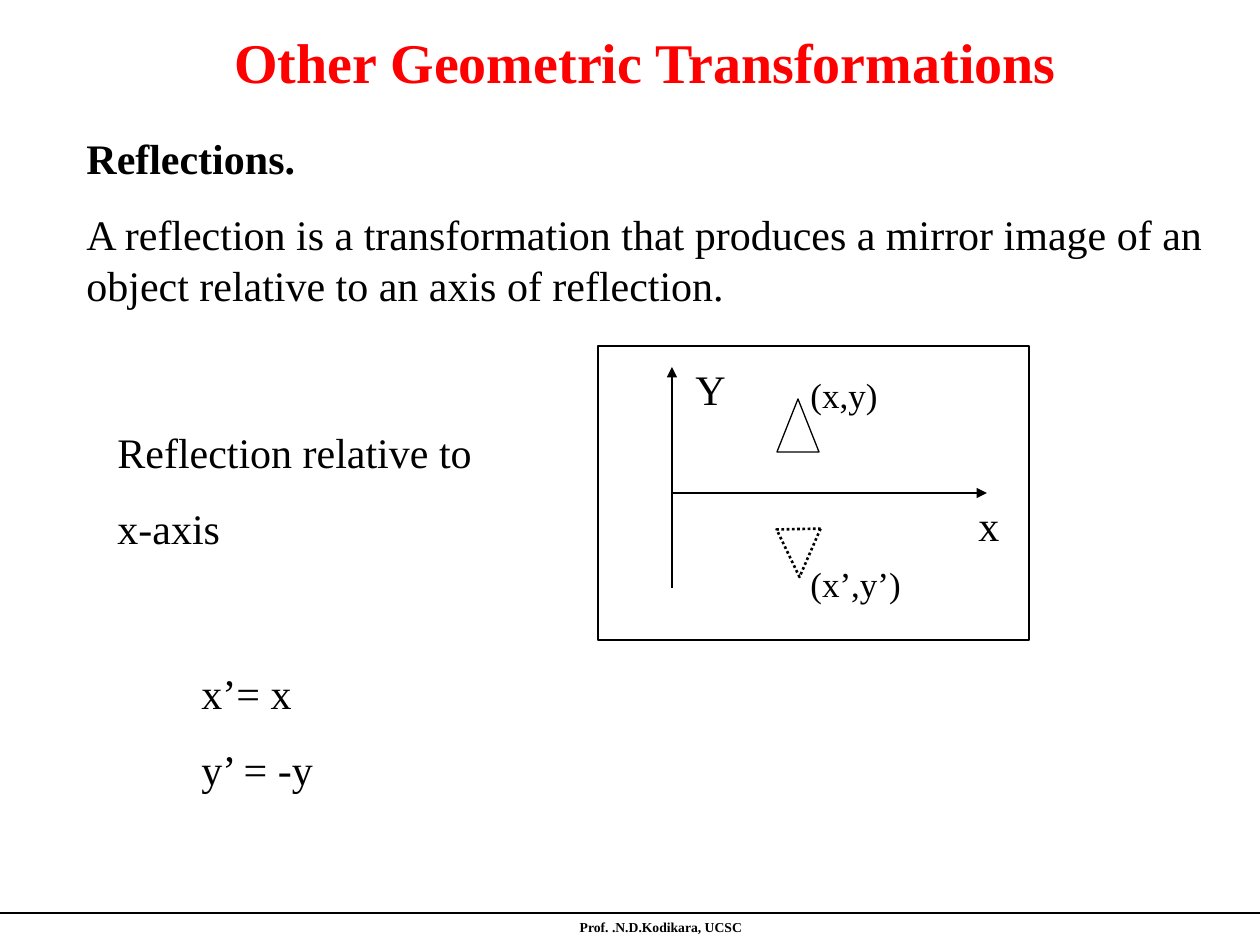
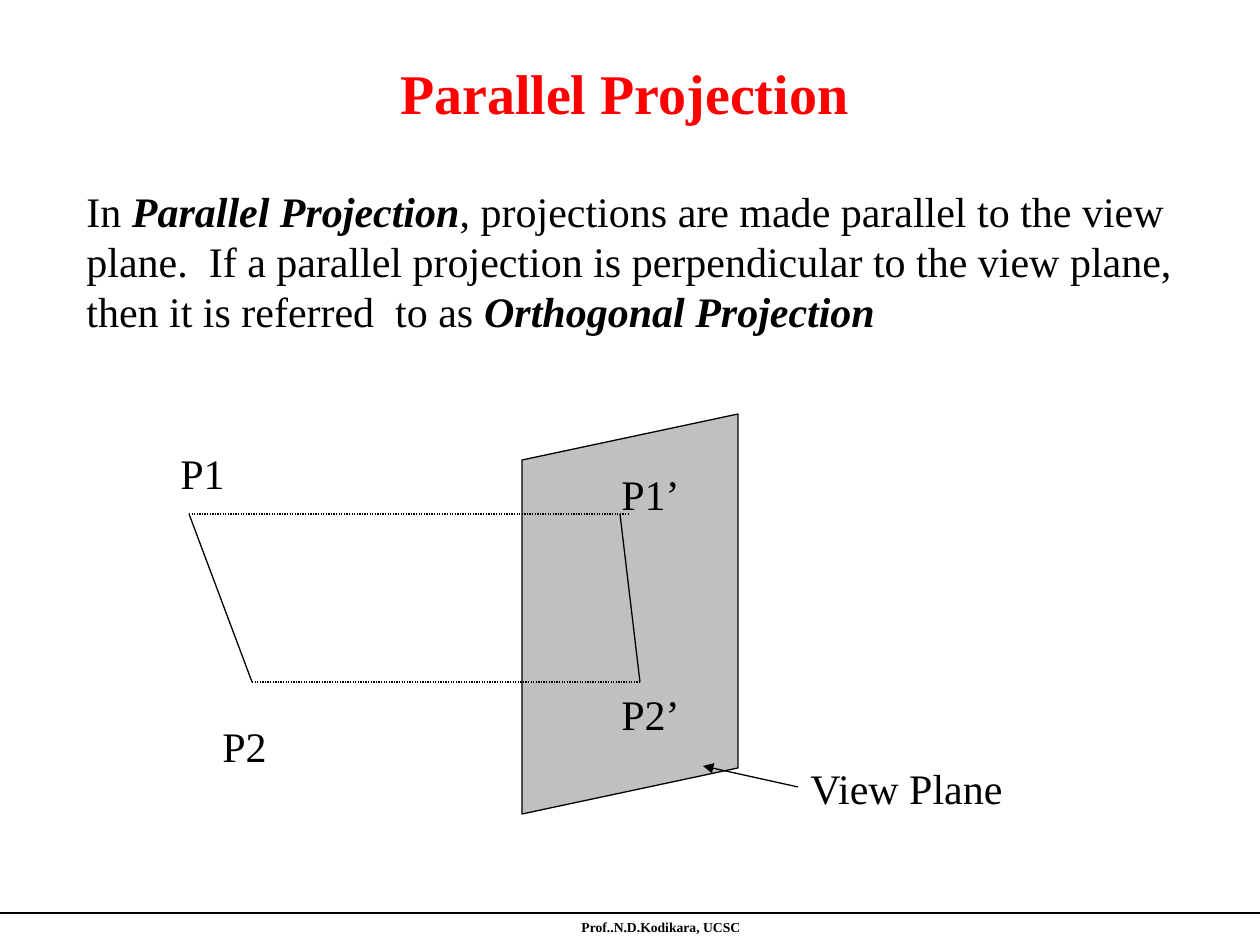
"""Builds two slides on reflections and parallel projection."""
from lxml import etree
from pptx import Presentation
from pptx.dml.color import RGBColor
from pptx.enum.dml import MSO_LINE
from pptx.enum.shapes import MSO_CONNECTOR, MSO_SHAPE
from pptx.enum.text import MSO_ANCHOR, MSO_AUTO_SIZE, PP_ALIGN
from pptx.oxml.ns import qn
from pptx.util import Pt

STRAIGHT = MSO_CONNECTOR.STRAIGHT
RECT, TRIANGLE = MSO_SHAPE.RECTANGLE, MSO_SHAPE.ISOSCELES_TRIANGLE
DOTTED = MSO_LINE.ROUND_DOT
CENTER, LEFT = PP_ALIGN.CENTER, PP_ALIGN.LEFT
TOP, NO_FIT = MSO_ANCHOR.TOP, MSO_AUTO_SIZE.NONE

WIDTH, HEIGHT = 1260, 945
SCALE = 914400 / 126
FONT = "Times New Roman"
COLORS = {"title": "FF0000", "ink": "000000", "paper": "FFFFFF", "plane": "C0C0C0"}
RULE = (0, 913, WIDTH, 913)
FOOTER_BOX = (94, 913, 1134, 32)
TITLE_SIZE, BODY_SIZE, LABEL_SIZE, FOOTER_SIZE = 32, 24, 20, 7.8
LINE_WIDTH = 0.75

SLIDES = [
    {
        "title": ("Other Geometric Transformations", (94, 21, 1103, 81)),
        "footer": "Prof. .N.D.Kodikara, UCSC",
        "shapes": [
            (RECT, (598, 346, 431, 294), None, 0, LINE_WIDTH, None),
            (TRIANGLE, (777, 399, 42, 53), "paper", 0, LINE_WIDTH, None),
            (TRIANGLE, (777, 529, 44, 48), "paper", 178.9, 1.5, DOTTED),
        ],
        "polygons": [],
        "lines": [
            ((672, 493, 987, 493), None, True),
            ((672, 588, 672, 367), None, True),
        ],
        "texts": [
            ((74, 126, 1155, 190), BODY_SIZE, [
                [("Reflections.", "b")],
                [("A reflection is a transformation that produces a mirror image "
                  "of an object relative to an axis of reflection.", "")],
            ]),
            ((105, 420, 473, 140), BODY_SIZE,
             [[("Reflection relative to", "")], [("x-axis", "")]]),
            ((966, 493, 53, 63), BODY_SIZE, [[("x", "")]]),
            ((683, 357, 42, 63), BODY_SIZE, [[("Y", "")]]),
            ((798, 367, 126, 55), LABEL_SIZE, [[("(x,y)", "")]]),
            ((798, 556, 137, 55), LABEL_SIZE, [[("(x’,y’)", "")]]),
            ((189, 661, 557, 140), BODY_SIZE, [[("x’= x", "")], [("y’ = -y", "")]]),
        ],
    },
    {
        "title": ("Parallel Projection", (126, 52, 997, 81)),
        "footer": "Prof..N.D.Kodikara, UCSC",
        "shapes": [],
        "polygons": [([(522, 460), (738, 414), (738, 768), (522, 814)], "plane")],
        "lines": [
            ((189, 514, 252, 682), None, False),
            ((189, 514, 630, 514), DOTTED, False),
            ((252, 682, 640, 682), DOTTED, False),
            ((620, 514, 640, 682), None, False),
            ((798, 787, 703, 766), None, True),
        ],
        "texts": [
            ((74, 179, 1113, 164), BODY_SIZE, [[
                ("In ", ""),
                ("Parallel Projection", "bi"),
                (", projections are made parallel to the view plane.  If a parallel "
                 "projection is perpendicular to the view plane, then it is "
                 "referred  to as ", ""),
                ("Orthogonal Projection", "bi"),
            ]]),
            ((168, 441, 126, 63), BODY_SIZE, [[("P1", "")]]),
            ((210, 714, 126, 63), BODY_SIZE, [[("P2", "")]]),
            ((609, 682, 126, 63), BODY_SIZE, [[("P2’", "")]]),
            ((609, 462, 126, 63), BODY_SIZE, [[("P1’", "")]]),
            ((798, 756, 242, 63), BODY_SIZE, [[("View Plane", "")]]),
        ],
    },
]


def px(*values):
    """Turn px lengths into EMU."""
    return [round(v * SCALE) for v in values]


def rgb(name):
    """Look up a named colour."""
    return RGBColor.from_string(COLORS[name])


def write(sp, paragraphs, size, color="ink", align=LEFT):
    """Fill a text shape run by run."""
    tf = sp.text_frame
    tf.word_wrap, tf.auto_size, tf.vertical_anchor = True, NO_FIT, TOP
    for i, runs in enumerate(paragraphs):
        p = tf.add_paragraph() if i else tf.paragraphs[0]
        p.alignment = align
        p.space_before = Pt(size * 0.625 if i else 0)
        for text, style in runs:
            r = p.add_run()
            r.text = text
            r.font.name, r.font.size = FONT, Pt(size)
            r.font.bold, r.font.italic = "b" in style, "i" in style
            r.font.color.rgb = rgb(color)


def add_text(s, box, size, paragraphs, align=LEFT):
    """Add a wrapped text box."""
    write(s.shapes.add_textbox(*px(*box)), paragraphs, size, align=align)


def set_line(sp, width=LINE_WIDTH, dash=None):
    """Format an outline or connector."""
    sp.line.color.rgb = rgb("ink")
    sp.line.width = Pt(width)
    if dash:
        sp.line.dash_style = dash


def set_look(sp, fill, width=LINE_WIDTH, dash=None):
    """Format the fill and outline of a shape."""
    sp.shadow.inherit = False
    if fill:
        sp.fill.solid()
        sp.fill.fore_color.rgb = rgb(fill)
    else:
        sp.fill.background()
    set_line(sp, width, dash)


def add_line(s, ends, dash=None, arrow=False):
    """Add a straight connector, with an arrowhead at its end if asked."""
    sp = s.shapes.add_connector(STRAIGHT, *px(*ends))
    set_line(sp, dash=dash)
    props = sp._element.spPr
    if arrow:
        etree.SubElement(props.find(qn("a:ln")), qn("a:tailEnd"), type="triangle")
    etree.SubElement(props, qn("a:effectLst"))


def add_polygon(s, points, fill):
    """Add a closed outline through the points."""
    start, *rest = [px(*point) for point in points]
    builder = s.shapes.build_freeform(*start)
    builder.add_line_segments(rest, close=True)
    set_look(builder.convert_to_shape(), fill)


def add_slide(prs, content):
    """Build one slide from its content."""
    s = prs.slides.add_slide(prs.slide_layouts[5])
    title, box = content["title"]
    sp = s.shapes.title
    sp.left, sp.top, sp.width, sp.height = px(*box)
    write(sp, [[(title, "b")]], TITLE_SIZE, "title", CENTER)
    add_line(s, RULE)
    add_text(s, FOOTER_BOX, FOOTER_SIZE, [[(content["footer"], "b")]], CENTER)
    for kind, box, fill, rotation, width, dash in content["shapes"]:
        sp = s.shapes.add_shape(kind, *px(*box))
        sp.rotation = rotation
        set_look(sp, fill, width, dash)
    for polygon in content["polygons"]:
        add_polygon(s, *polygon)
    for line in content["lines"]:
        add_line(s, *line)
    for text in content["texts"]:
        add_text(s, *text)


def main():
    """Build and save the presentation."""
    prs = Presentation()
    prs.slide_width, prs.slide_height = px(WIDTH, HEIGHT)
    for content in SLIDES:
        add_slide(prs, content)
    prs.save("out.pptx")


if __name__ == "__main__":
    main()
